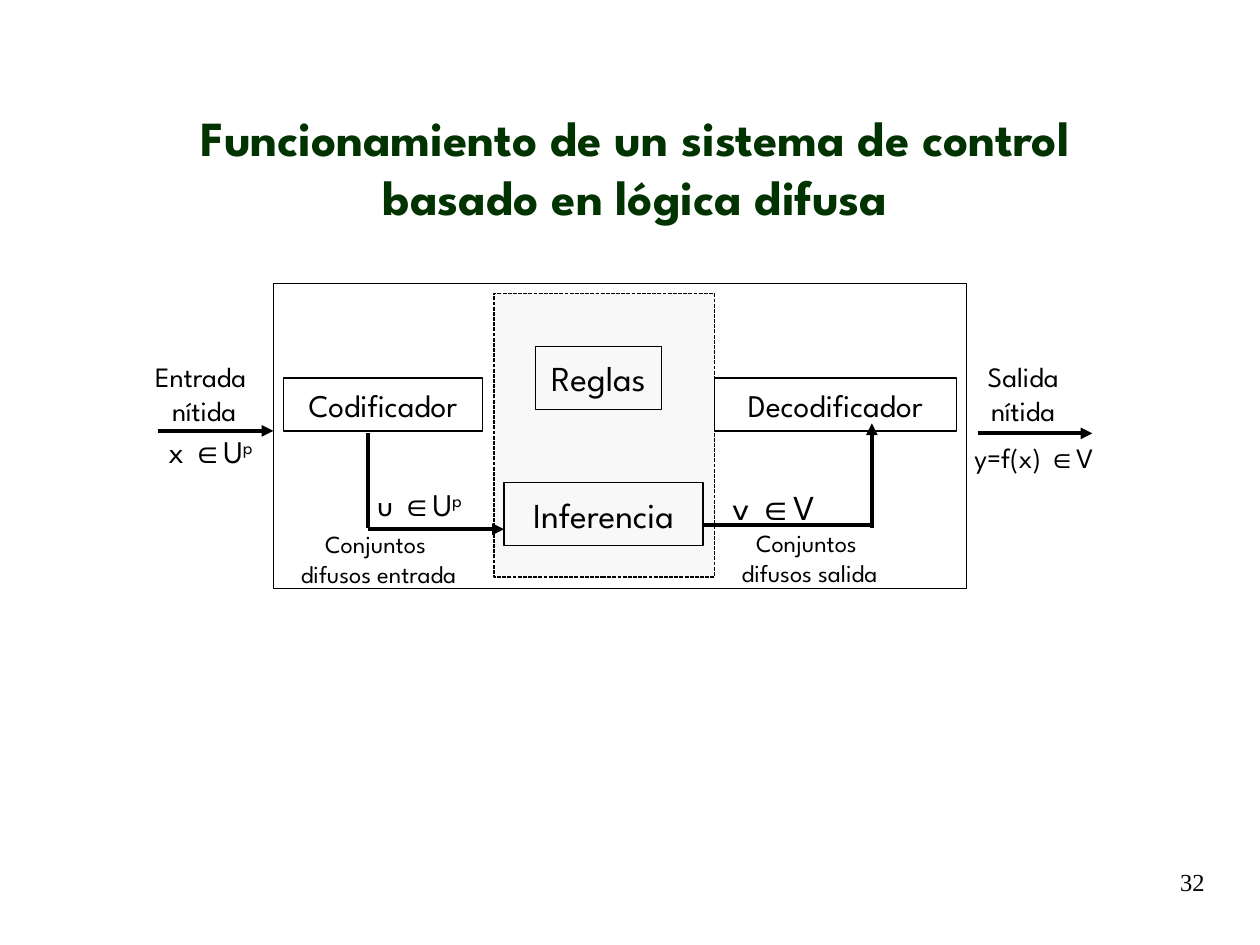
from dataclasses import dataclass

from lxml.etree import SubElement
from pptx import Presentation
from pptx.dml.color import RGBColor
from pptx.enum.dml import MSO_LINE
from pptx.enum.shapes import MSO_CONNECTOR, MSO_SHAPE
from pptx.enum.text import MSO_ANCHOR, PP_ALIGN
from pptx.oxml.ns import qn
from pptx.util import Inches, Pt


@dataclass(frozen=True)
class Theme:
    ink: RGBColor = RGBColor(0x00, 0x00, 0x00)
    title_ink: RGBColor = RGBColor(0x00, 0x33, 0x00)
    panel: RGBColor = RGBColor(0xF8, 0xF8, 0xF8)
    font: str = "League Spartan"
    symbol_font: str = "Arial"
    number_font: str = "Times New Roman"
    title_size: int = 28
    large: int = 20
    medium: int = 18
    label: int = 16
    small: int = 14
    outline: float = 0.75
    flow: float = 2.25


class DiagramSlide:
    """Holds the theme and the current slide, and draws each kind of element."""

    def __init__(self, slide, theme):
        self.slide = slide
        self.theme = theme

    def add_run(self, paragraph, text, size, font=None, color=None, bold=False):
        run = paragraph.add_run()
        run.text = text
        run.font.name = font or self.theme.font
        run.font.size = Pt(size)
        run.font.bold = bold
        run.font.color.rgb = color or self.theme.ink
        return run

    def title(self, text, left, top, width, height):
        shape = self.slide.shapes.title
        shape.left, shape.top = Inches(left), Inches(top)
        shape.width, shape.height = Inches(width), Inches(height)
        frame = shape.text_frame
        frame.word_wrap = True
        frame.vertical_anchor = MSO_ANCHOR.BOTTOM
        paragraph = frame.paragraphs[0]
        paragraph.alignment = PP_ALIGN.CENTER
        self.add_run(paragraph, text, self.theme.title_size,
                     color=self.theme.title_ink, bold=True)

    def box(self, left, top, width, height, text=None, size=None, fill=None):
        shape = self.slide.shapes.add_shape(
            MSO_SHAPE.RECTANGLE, Inches(left), Inches(top), Inches(width), Inches(height))
        shape.shadow.inherit = False
        if fill is None:
            shape.fill.background()
        else:
            shape.fill.solid()
            shape.fill.fore_color.rgb = fill
        shape.line.color.rgb = self.theme.ink
        shape.line.width = Pt(self.theme.outline)
        if text:
            paragraph = self.centred(shape.text_frame)
            paragraph.space_before = Pt(size / 4)
            self.add_run(paragraph, text, size)
        return shape

    def centred(self, frame):
        frame.word_wrap = False
        frame.vertical_anchor = MSO_ANCHOR.MIDDLE
        frame.paragraphs[0].alignment = PP_ALIGN.CENTER
        return frame.paragraphs[0]

    def text_box(self, left, top, width, height):
        return self.slide.shapes.add_textbox(
            Inches(left), Inches(top), Inches(width), Inches(height)).text_frame

    def caption(self, lines, size, left, top, width, height):
        frame = self.text_box(left, top, width, height)
        paragraph = self.centred(frame)
        for index, line in enumerate(lines):
            if index:
                paragraph = frame.add_paragraph()
                paragraph.alignment = PP_ALIGN.CENTER
            self.add_run(paragraph, line, size)

    def membership(self, variable, universe, size, left, top, width, height, power=None):
        paragraph = self.centred(self.text_box(left, top, width, height))
        paragraph.space_before = Pt(size / 4)
        self.add_run(paragraph, variable + " ", size)
        self.add_run(paragraph, "∈", size, font=self.theme.symbol_font)
        self.add_run(paragraph, universe, size)
        if power:
            run = self.add_run(paragraph, power, size)
            run.font._element.set("baseline", "30000")

    def flow(self, start, end, arrow=True):
        connector = self.slide.shapes.add_connector(
            MSO_CONNECTOR.STRAIGHT, *(Inches(value) for value in (*start, *end)))
        connector.line.color.rgb = self.theme.ink
        connector.line.width = Pt(self.theme.flow)
        if arrow:
            SubElement(connector.line._get_or_add_ln(), qn("a:tailEnd"), type="triangle")
        SubElement(connector._element.spPr, qn("a:effectLst"))

    def page_number(self, text, left, top, width, height):
        frame = self.text_box(left, top, width, height)
        frame.word_wrap = True
        paragraph = frame.paragraphs[0]
        paragraph.alignment = PP_ALIGN.RIGHT
        self.add_run(paragraph, text, self.theme.small, font=self.theme.number_font)


def main():
    presentation = Presentation()
    presentation.slide_width, presentation.slide_height = Inches(10), Inches(7.5)
    theme = Theme()
    title_only = presentation.slide_layouts[5]
    diagram = DiagramSlide(presentation.slides.add_slide(title_only), theme)

    diagram.title("Funcionamiento de un sistema de control basado en lógica difusa",
                  0.83, 0.8, 8.42, 1.04)

    # Controller frame and the knowledge panel inside it
    diagram.box(2.17, 2.25, 5.5, 2.42)
    panel = diagram.box(3.92, 2.33, 1.75, 2.25, fill=theme.panel)
    panel.line.dash_style = MSO_LINE.SQUARE_DOT

    # Processing blocks
    diagram.box(4.25, 2.75, 1, 0.5, "Reglas", theme.large)
    diagram.box(4, 3.83, 1.58, 0.5, "Inferencia", theme.large)
    diagram.box(2.25, 3, 1.58, 0.42, "Codificador", theme.medium)
    diagram.box(5.67, 3, 1.92, 0.42, "Decodificador", theme.medium)

    # Encoder to inference
    diagram.membership("u", "U", theme.medium, 2.83, 3.75, 1, 0.5, power="p")
    diagram.flow((2.92, 3.44), (2.92, 4.19), arrow=False)
    diagram.flow((2.92, 4.2), (4, 4.2))
    diagram.caption(["Conjuntos ", "difusos entrada"], theme.small, 2.09, 4.1, 1.83, 0.67)

    # Inference to decoder
    diagram.flow((5.58, 4.17), (6.92, 4.17), arrow=False)
    diagram.flow((6.92, 4.19), (6.92, 3.36))
    diagram.membership("v", "V", theme.large, 5.64, 3.77, 1, 0.5)
    diagram.caption(["Conjuntos ", "difusos salida"], theme.small, 5.55, 4.09, 1.75, 0.67)

    # Crisp input
    diagram.caption(["Entrada ", "nítida"], theme.label, 1.08, 2.83, 1.08, 0.58)
    diagram.membership("x", "U", theme.medium, 1.17, 3.33, 1, 0.5, power="p")
    diagram.flow((1.25, 3.42), (2.17, 3.42))

    # Crisp output
    diagram.membership("y=f(x)", "V", theme.label, 7.58, 3.42, 1.25, 0.42)
    diagram.caption(["Salida", "nítida"], theme.label, 7.58, 2.83, 1.08, 0.58)
    diagram.flow((7.76, 3.44), (8.67, 3.44))

    diagram.page_number("32", 8.08, 6.83, 1.58, 0.42)
    presentation.save("out.pptx")


if __name__ == "__main__":
    main()
